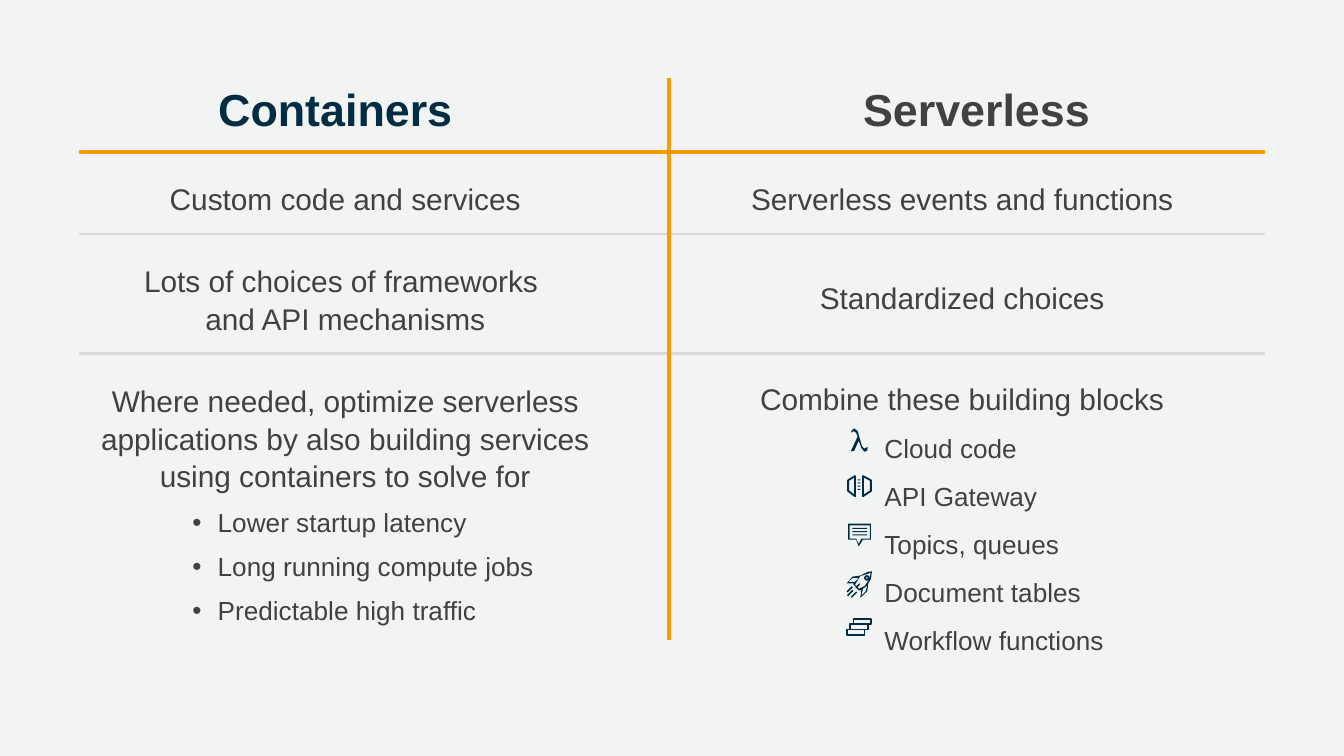
from lxml import etree
from pptx import Presentation
from pptx.dml.color import RGBColor
from pptx.enum.shapes import MSO_CONNECTOR, MSO_SHAPE
from pptx.enum.text import MSO_ANCHOR, MSO_AUTO_SIZE, PP_ALIGN
from pptx.oxml.ns import qn
from pptx.util import Cm, Pt

CENTER, LEFT = PP_ALIGN.CENTER, PP_ALIGN.LEFT
TOP, MIDDLE = MSO_ANCHOR.TOP, MSO_ANCHOR.MIDDLE
NO_FIT = MSO_AUTO_SIZE.NONE
STRAIGHT = MSO_CONNECTOR.STRAIGHT
PRESETS = {"rect": MSO_SHAPE.RECTANGLE, "oval": MSO_SHAPE.OVAL}

THEME = {
    "font": "Arial",
    "background": RGBColor(0xF2, 0xF4, 0xF4),
    "text": RGBColor(0x41, 0x40, 0x42),
    "navy": RGBColor(0x00, 0x2D, 0x43),
    "orange": RGBColor(0xFF, 0x99, 0x00),
    "grey": RGBColor(0xD9, 0xD9, 0xD9),
    "heading": 24,
    "statement": 16,
    "item": 14,
}

CONTAINERS = {
    "heading": "Containers",
    "statements": [
        ("Custom code and services", 0),
        ("Lots of choices of frameworks \nand API mechanisms", 24),
        ("Where needed, optimize serverless applications by also building "
         "services using containers to solve for", 24),
    ],
    "items": ["Lower startup latency", "Long running compute jobs",
              "Predictable high traffic"],
    "item_style": {"before": 6, "margin": 2.87, "indent": -0.48,
                   "bullet": "•", "level": 1},
}
SERVERLESS = {
    "heading": "Serverless",
    "statements": [
        ("Serverless events and functions", 0),
        ("Standardized choices", 33),
        ("Combine these building blocks", 34),
    ],
    "items": ["Cloud code", "API Gateway", "Topics, queues",
              "Document tables", "Workflow functions"],
    "item_style": {"before": 8, "margin": 3.81},
}

LAMBDA = [[(23, 15), (20, 8), (15, 5), (10, 8), (12, 3), (17, 0), (23, 5),
           (31, 33), (35, 38), (42, 35), (41, 42), (36, 44), (30, 37),
           (25, 23), (16, 43), (10, 43)]]
GATE_LEFT = [[(18, 0), (18, 38), (5, 28), (5, 8)]]
GATE_RIGHT = [[(33, 0), (33, 38), (48, 28), (48, 8)]]
BUBBLE = [
    [(25, 43), (20, 30), (5, 30), (5, 0), (48, 0), (48, 30), (33, 30)],
    [(8, 28), (20, 28), (25, 38), (30, 28), (46, 28), (46, 3), (8, 3)],
]
ROCKET = [
    [(50, 0), (42, 1), (28, 8), (13, 10), (2, 23), (15, 23), (15, 25),
     (20, 30), (17, 33), (20, 31), (25, 36), (30, 36), (28, 50), (41, 38),
     (43, 23), (48, 15)],
    [(18, 20), (5, 20), (13, 13), (25, 13)],
    [(23, 30), (28, 24), (26, 23), (20, 28), (18, 25), (28, 9), (48, 3),
     (44, 16), (36, 28), (25, 33)],
    [(38, 38), (30, 46), (33, 33), (41, 27)],
]
FLAMES = [[(x, y), (x - 10, y + 10), (x - 8, y + 12), (x + 2, y + 2)]
          for x, y in [(12, 28), (13, 35), (20, 38)]]

ICONS = [
    [("path", "fill", LAMBDA)],
    [("path", "line", GATE_LEFT), ("path", "line", GATE_RIGHT)]
    + [("rect", "fill", (23, y, 5, 2)) for y in range(6, 27, 6)],
    [("path", "fill", BUBBLE)]
    + [("rect", "fill", (13, y, 28, 2)) for y in range(8, 21, 6)],
    [("path", "fill", ROCKET), ("path", "fill", FLAMES),
     ("oval", "line", (37, 9, 7, 7))],
    [("rect", "line", (x, y, 33, 10)) for x, y in [(3, 20), (9, 10), (15, 0)]],
]
ICON_LEFT, ICON_TOP, ICON_PITCH = 15.98, 8.1, 0.9
ICON_UNIT = Cm(0.01)

BODY_TOP, BODY_WIDTH, BODY_HEIGHT = 3.25, 11.07, 8.84
HEADING_TOP, HEADING_HEIGHT = 1.35, 1.52
LEFT_COLUMN, MIDLINE = 0.99, 12.65
RULE_LEFT, RULE_RIGHT = 1.5, 23.9


def place(box, left, top, width, height, anchor):
    box.left, box.top, box.width, box.height = map(Cm, (left, top, width, height))
    frame = box.text_frame
    frame.word_wrap = True
    frame.auto_size = NO_FIT
    frame.vertical_anchor = anchor
    return frame


def write(paragraph, text, size, color, align=CENTER, before=0, spacing=1.05,
          bold=False, margin=0, indent=0, bullet=None, level=0):
    paragraph.level = level
    paragraph.alignment = align
    paragraph.space_before = Pt(before)
    paragraph.space_after = Pt(0)
    paragraph.line_spacing = spacing
    properties = paragraph._p.get_or_add_pPr()
    properties.set("marL", str(Cm(margin)))
    properties.set("indent", str(Cm(indent)))
    if bullet:
        etree.SubElement(properties, qn("a:buChar")).set("char", bullet)
    else:
        etree.SubElement(properties, qn("a:buNone"))
    for number, line in enumerate(text.split("\n")):
        if number:
            paragraph.add_line_break()
        run = paragraph.add_run()
        run.text = line
        run.font.name = THEME["font"]
        run.font.size = Pt(size)
        run.font.bold = bold
        run.font.color.rgb = color


def add_heading(box, column, left, width, color):
    frame = place(box, left, HEADING_TOP, width, HEADING_HEIGHT, MIDDLE)
    write(frame.paragraphs[0], column["heading"], THEME["heading"], color,
          spacing=0.9, bold=True)


def add_body(box, column, left):
    frame = place(box, left, BODY_TOP, BODY_WIDTH, BODY_HEIGHT, TOP)
    for number, (statement, before) in enumerate(column["statements"]):
        paragraph = frame.add_paragraph() if number else frame.paragraphs[0]
        write(paragraph, statement, THEME["statement"], THEME["text"],
              before=before)
    for item in column["items"]:
        write(frame.add_paragraph(), item, THEME["item"], THEME["text"],
              align=LEFT, **column["item_style"])


def add_rule(shapes, x1, y1, x2, y2, color, width):
    rule = shapes.add_connector(STRAIGHT, Cm(x1), Cm(y1), Cm(x2), Cm(y2))
    rule.line.color.rgb = color
    rule.line.width = Pt(width)
    etree.SubElement(rule._element.spPr, qn("a:effectLst"))


def add_icon_part(shapes, kind, style, data, left, top):
    if kind == "path":
        builder = shapes.build_freeform(*data[0][0], scale=ICON_UNIT)
        builder.add_line_segments(data[0][1:], close=True)
        for contour in data[1:]:
            builder.move_to(*contour[0])
            builder.add_line_segments(contour[1:], close=True)
        part = builder.convert_to_shape(left, top)
    else:
        x, y, width, height = (value * ICON_UNIT for value in data)
        part = shapes.add_shape(PRESETS[kind], left + x, top + y, width, height)
    part.shadow.inherit = False
    if style == "fill":
        part.fill.solid()
        part.fill.fore_color.rgb = THEME["navy"]
        part.line.fill.background()
    else:
        part.fill.background()
        part.line.color.rgb = THEME["navy"]
        part.line.width = Pt(1)


def main():
    deck = Presentation()
    deck.slide_width, deck.slide_height = Cm(25.4), Cm(14.29)
    slide = deck.slides.add_slide(deck.slide_layouts[3])
    slide.background.fill.solid()
    slide.background.fill.fore_color.rgb = THEME["background"]
    shapes = slide.shapes

    add_body(slide.placeholders[1], CONTAINERS, LEFT_COLUMN)
    add_body(slide.placeholders[2], SERVERLESS, MIDLINE)
    add_heading(shapes.title, CONTAINERS, LEFT_COLUMN, 10.69, THEME["navy"])
    add_heading(shapes.add_textbox(0, 0, 0, 0), SERVERLESS, 13.82, 9.27,
                THEME["text"])

    for y in (4.42, 6.68):
        add_rule(shapes, RULE_LEFT, y, RULE_RIGHT, y, THEME["grey"], 1.25)
    add_rule(shapes, RULE_LEFT, 2.87, RULE_RIGHT, 2.87, THEME["orange"], 2)
    add_rule(shapes, MIDLINE, 1.47, MIDLINE, 12.09, THEME["orange"], 2)

    for row, icon in enumerate(ICONS):
        for kind, style, data in icon:
            add_icon_part(shapes, kind, style, data, Cm(ICON_LEFT),
                          Cm(ICON_TOP + row * ICON_PITCH))

    deck.save("out.pptx")


if __name__ == "__main__":
    main()
